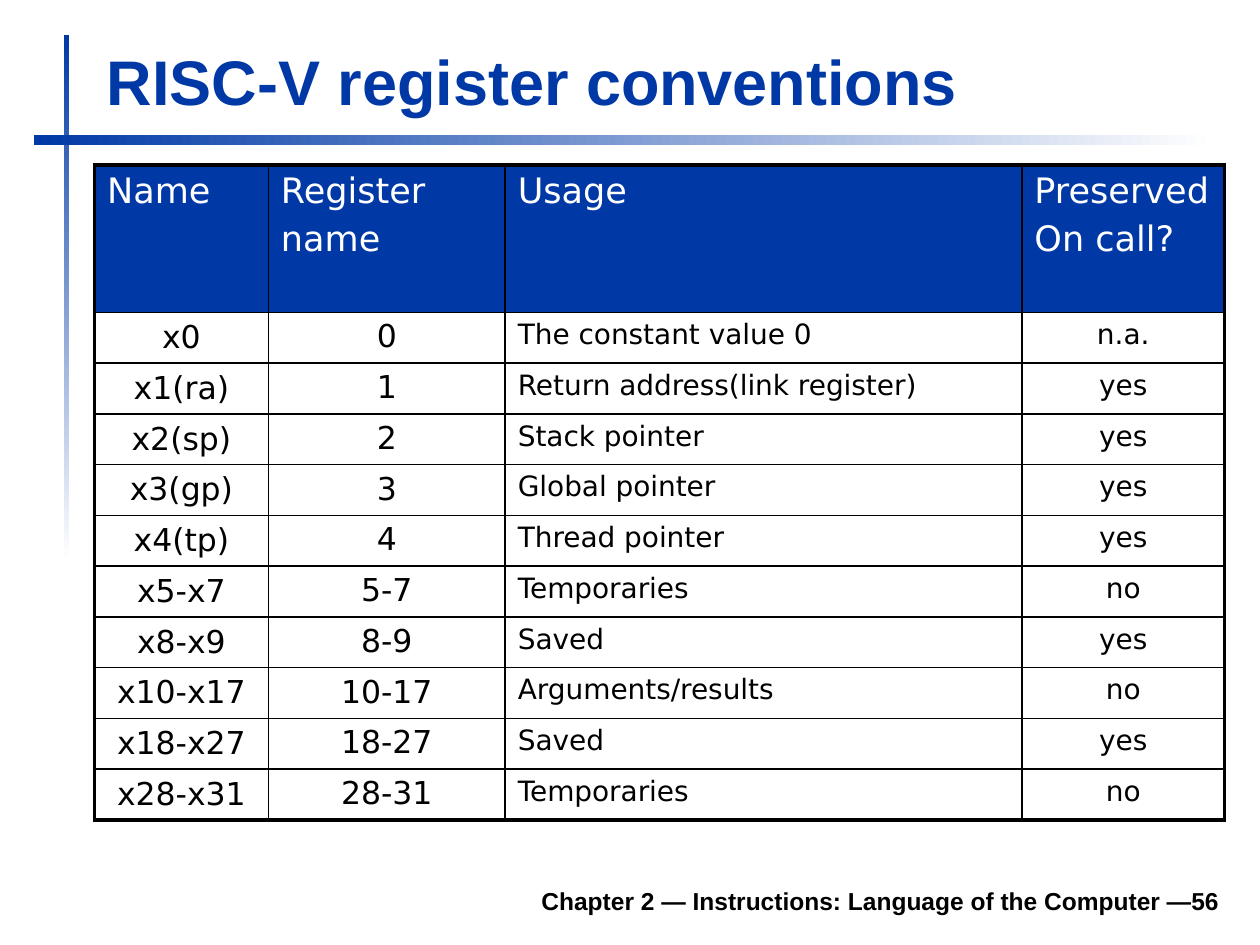
from lxml.etree import SubElement
from pptx import Presentation
from pptx.dml.color import RGBColor
from pptx.enum.shapes import MSO_SHAPE
from pptx.enum.text import MSO_ANCHOR, PP_ALIGN
from pptx.oxml.ns import qn
from pptx.util import Inches, Pt

BLUE = RGBColor(0x00, 0x39, 0xA6)
WHITE = RGBColor(0xFF, 0xFF, 0xFF)
BLACK = RGBColor(0x00, 0x00, 0x00)

# The slide is a grid of 100 columns by 75 rows
COLUMNS, ROWS = 100, 75
THIN, THICK = 1, 2.25

HEADINGS = ["Name", "Register\nname", "Usage", "Preserved\nOn call?"]
REGISTERS = [
    ("x0", "0", "The constant value 0", "n.a."),
    ("x1(ra)", "1", "Return address(link register)", "yes"),
    ("x2(sp)", "2", "Stack pointer", "yes"),
    ("x3(gp)", "3", "Global pointer", "yes"),
    ("x4(tp)", "4", "Thread pointer", "yes"),
    ("x5-x7", "5-7", "Temporaries", "no"),
    ("x8-x9", "8-9", "Saved", "yes"),
    ("x10-x17", "10-17", "Arguments/results", "no"),
    ("x18-x27", "18-27", "Saved", "yes"),
    ("x28-x31", "28-31", "Temporaries", "no"),
]
COLUMN_WIDTHS = [13.8, 18.8, 41, 16.1]
HEADING_HEIGHT, REGISTER_HEIGHT = 11.7, 4.03
BODY_SIZES = [18, 18, 16, 16]
BODY_ALIGNS = [PP_ALIGN.CENTER, PP_ALIGN.CENTER, PP_ALIGN.LEFT, PP_ALIGN.CENTER]


class SlideBuilder:
    heading_font = "Arial"
    table_font = "DejaVu Sans"

    def __init__(self, presentation):
        self.unit_x = presentation.slide_width / COLUMNS
        self.unit_y = presentation.slide_height / ROWS
        self.slide = presentation.slides.add_slide(presentation.slide_layouts[6])

    def across(self, columns):
        return round(columns * self.unit_x)

    def down(self, rows):
        return round(rows * self.unit_y)

    def box(self, left, top, width, height):
        return self.across(left), self.down(top), self.across(width), self.down(height)

    def style(self, frame, font, size, color, align, bold=False):
        for index, paragraph in enumerate(frame.paragraphs):
            paragraph.alignment = align
            if index:
                paragraph.space_before = Pt(size * 0.2)
            for run in paragraph.runs:
                run.font.name = font
                run.font.size = Pt(size)
                run.font.bold = bold
                run.font.color.rgb = color

    def fading_bar(self, area, angle):
        bar = self.slide.shapes.add_shape(MSO_SHAPE.RECTANGLE, *self.box(*area))
        bar.shadow.inherit = False
        bar.line.fill.background()
        bar.fill.gradient()
        bar.fill.gradient_angle = angle
        for stop, color, position in zip(bar.fill.gradient_stops, (BLUE, WHITE), (0, 1)):
            stop.color.rgb = color
            stop.position = position

    def text(self, area, words, size, color, align, anchor):
        frame = self.slide.shapes.add_textbox(*self.box(*area)).text_frame
        frame.word_wrap = True
        frame.vertical_anchor = anchor
        frame.text = words
        self.style(frame, self.heading_font, size, color, align, bold=True)

    def borders(self, cell, widths):
        properties = cell._tc.get_or_add_tcPr()
        for side, width in widths.items():
            line = SubElement(properties, qn(f"a:ln{side}"), w=str(Pt(width)))
            fill = SubElement(line, qn("a:solidFill"))
            SubElement(fill, qn("a:srgbClr"), val=str(BLACK))

    def table(self, left, top, records, widths, heights):
        area = self.box(left, top, sum(widths), sum(heights))
        table = self.slide.shapes.add_table(len(heights), len(widths), *area).table
        table.first_row = table.horz_banding = False
        for column, width in zip(table.columns, widths):
            column.width = self.across(width)
        for row, height in zip(table.rows, heights):
            row.height = self.down(height)

        last_row, last_column = len(heights) - 1, len(widths) - 1
        for r, record in enumerate(records):
            for c, words in enumerate(record):
                cell = table.cell(r, c)
                cell.text_frame.text = words
                # Thick frame outside, thin rules inside
                self.borders(cell, {
                    "L": THICK if c == 0 else THIN,
                    "R": THICK if c == last_column else THIN,
                    "T": THICK if r == 0 else THIN,
                    "B": THICK if r == last_row else THIN,
                })
                if r == 0:
                    cell.fill.solid()
                    cell.fill.fore_color.rgb = BLUE
                    size, color, align = 20, WHITE, PP_ALIGN.LEFT
                else:
                    cell.fill.background()
                    size, color, align = BODY_SIZES[c], BLACK, BODY_ALIGNS[c]
                    if c == 0:
                        cell.vertical_anchor = MSO_ANCHOR.MIDDLE
                self.style(cell.text_frame, self.table_font, size, color, align)


def main():
    presentation = Presentation()
    presentation.slide_width, presentation.slide_height = Inches(10), Inches(7.5)
    builder = SlideBuilder(presentation)

    # Crossed bars: one fades downwards, one to the right
    builder.fading_bar((5.1, 2.8, 0.4, 41.7), 270)
    builder.fading_bar((2.7, 10.7, 93.7, 0.8), 0)

    # Title
    builder.text((7.5, 2.9, 90.3, 7), "RISC-V register conventions",
                 36, BLUE, PP_ALIGN.LEFT, MSO_ANCHOR.BOTTOM)

    # Register table
    heights = [HEADING_HEIGHT] + [REGISTER_HEIGHT] * len(REGISTERS)
    builder.table(7.5, 13.1, [HEADINGS, *REGISTERS], COLUMN_WIDTHS, heights)

    # Footer
    builder.text((28.8, 69.5, 69, 4),
                 "Chapter 2 — Instructions: Language of the Computer —56",
                 14, BLACK, PP_ALIGN.RIGHT, MSO_ANCHOR.MIDDLE)

    presentation.save("out.pptx")


if __name__ == "__main__":
    main()
